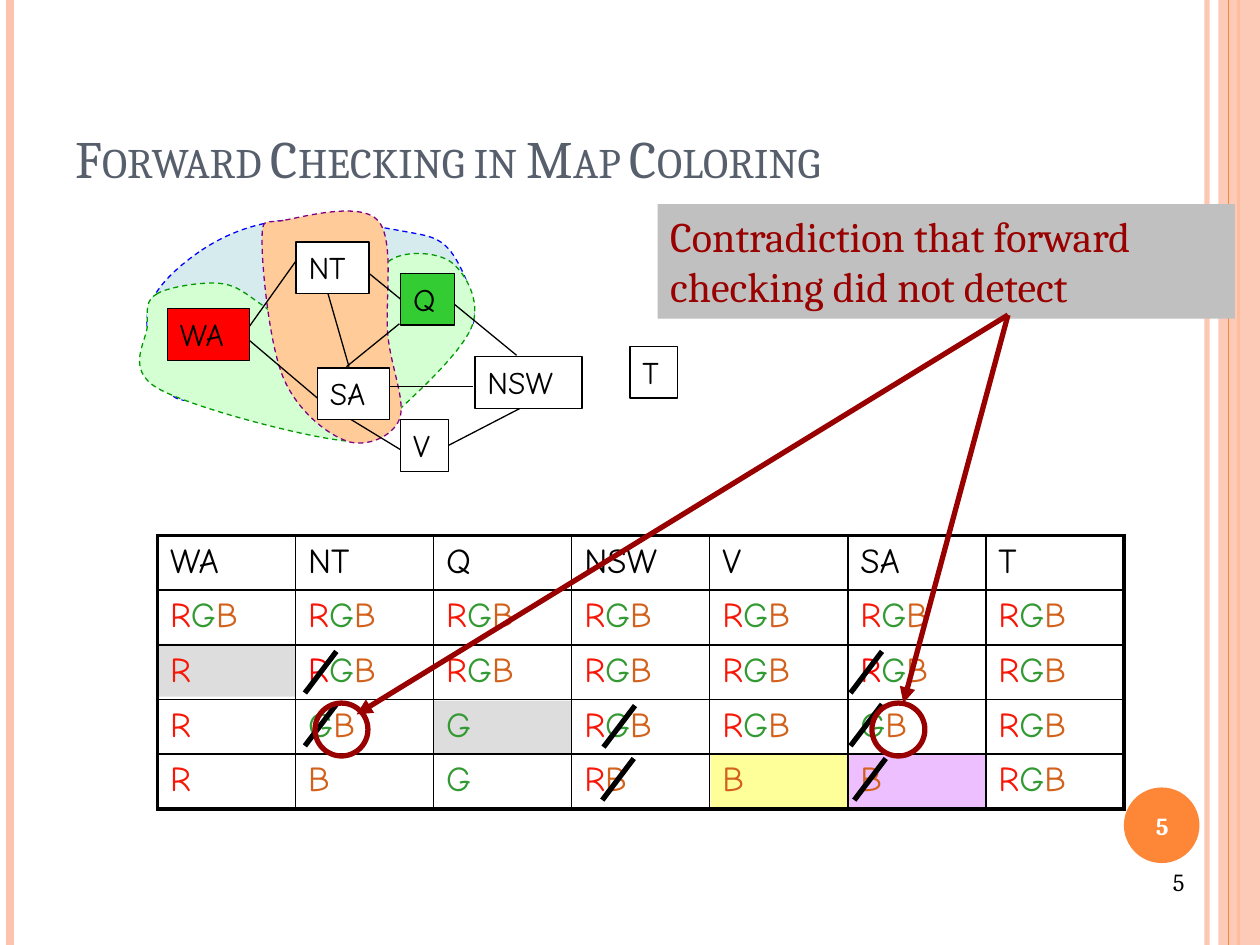
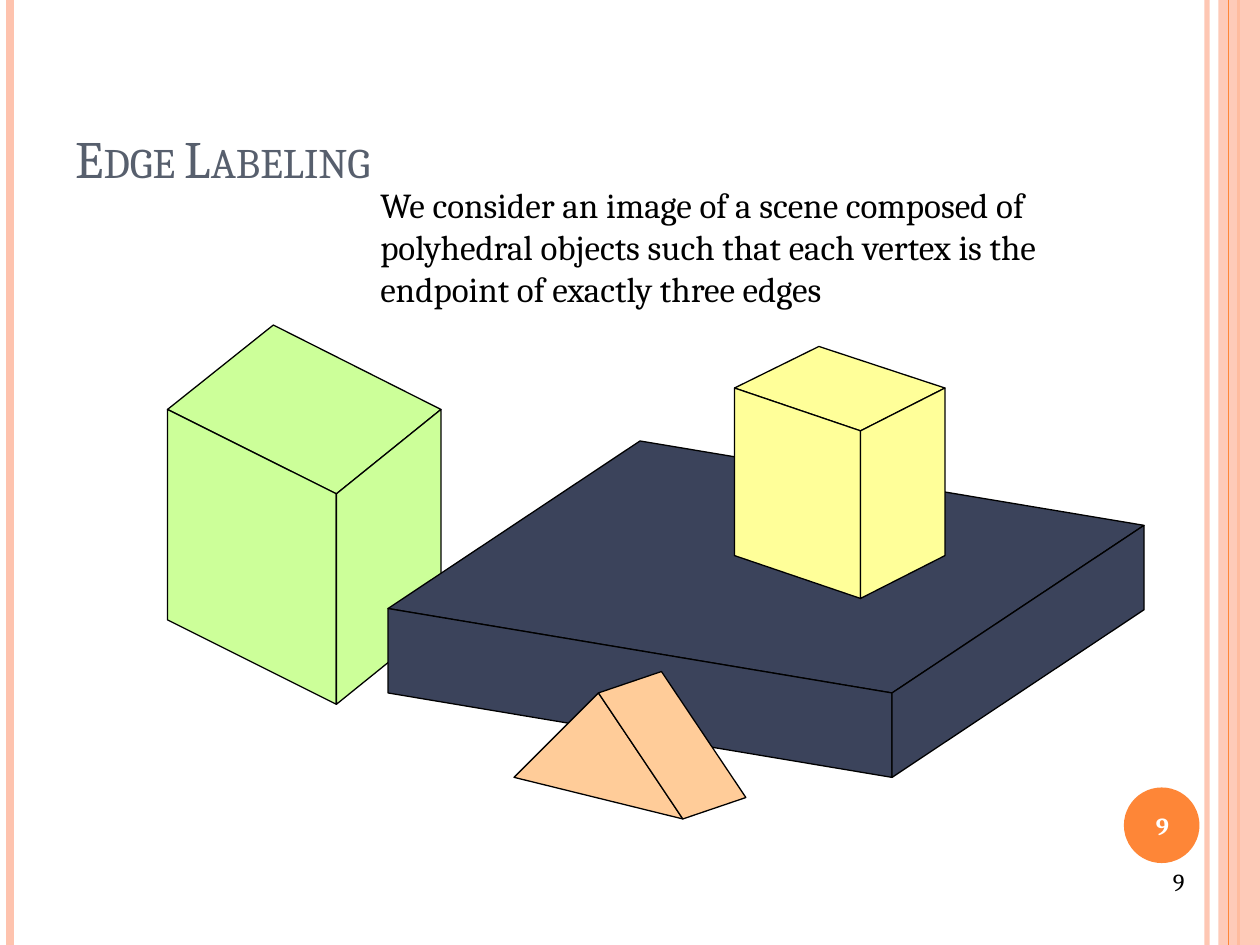
"""Build two slides on constraint satisfaction: map coloring and edge labeling."""
from lxml import etree
from pptx import Presentation
from pptx import util as u
from pptx.dml.color import RGBColor
from pptx.enum import dml, shapes, text
from pptx.oxml import ns

COLORS = {
    "band": "FEC3AE", "accent": "FE8637", "title": "575F6D", "black": "000000",
    "white": "FFFFFF", "alert": "990000", "callout": "C0C0C0", "assigned": "DDDDDD",
    "forced": "FFFF99", "empty": "EEBFFF", "red": "FF0000", "q": "33CC33",
    "water": "D5EBED", "blue": "0000FF", "land": "D3FFD3", "green": "009900",
    "peach": "FFCC99", "purple": "800080", "lime": "CCFF99", "navy": "3B435B",
    "R": "F81706", "G": "339933", "B": "D2611C",
}
SERIF, HAND = "Cambria", "Comic Neue"
RECT, OVAL = shapes.MSO_SHAPE.RECTANGLE, shapes.MSO_SHAPE.OVAL
LEFT, RIGHT = 1, 3

REGIONS = [
    ("water", "blue", [(1.58, 2), (1.17, 2.5), (1.42, 3.17), (2.17, 2.83), (2.25, 2.5),
                       (2.92, 2.42), (3.25, 2.83), (3.75, 2.58), (3.58, 2),
                       (3.17, 1.83), (2.25, 1.75)]),
    ("land", "green", [(1.25, 2.33), (1.17, 2.58), (1.25, 3.08), (2.75, 3.5),
                       (3.17, 3.25), (3.75, 2.58), (3.58, 2.08), (3.08, 2.08),
                       (2.92, 2.67), (2.5, 2.75), (2.08, 2.42), (1.75, 2.25)]),
    ("peach", "purple", [(2.25, 1.75), (2.08, 1.92), (2.25, 3), (2.75, 3.5),
                         (3.17, 3.33), (3.08, 2.67), (3, 1.75)]),
]
STATES = {
    "T": (5, 2.75, 0.38, "white"), "WA": (1.33, 2.45, 0.65, "red"),
    "NT": (2.35, 1.92, 0.58, "white"), "SA": (2.52, 2.92, 0.57, "white"),
    "Q": (3.18, 2.17, 0.43, "q"), "NSW": (3.77, 2.83, 0.85, "white"),
    "V": (3.18, 3.33, 0.38, "white"),
}
BORDERS = {
    "WA-NT": ((1.93, 2.66), (2.35, 2.07)), "WA-SA": ((1.93, 2.66), (2.52, 3.16)),
    "NT-SA": ((2.6, 2.32), (2.77, 2.91)), "SA-V": ((2.77, 3.32), (3.18, 3.57)),
    "Q-NSW": ((3.6, 2.41), (4.1, 2.82)), "NT-Q": ((2.88, 2.13), (3.2, 2.38)),
    "V-NSW": ((3.55, 3.55), (4.13, 3.24)), "Q-SA": ((3.17, 2.57), (2.75, 2.91)),
    "SA-NSW": ((3, 3.07), (3.75, 3.07)),
}
DOMAINS = [
    ["WA", "NT", "Q", "NSW", "V", "SA", "T"],
    ["RGB"] * 7,
    ["R"] + ["RGB"] * 6,
    ["R", "GB", "G", "RGB", "RGB", "GB", "RGB"],
    ["R", "B", "G", "RB", "B", "B", "RGB"],
]
MARKED_CELLS = [
    (6.72, 5.98, 1.11, 0.44, "empty", "black"), (1.24, 5.11, 1.1, 0.42, "assigned", None),
    (5.64, 5.99, 1.1, 0.42, "forced", None), (3.44, 5.56, 1.1, 0.42, "assigned", None),
]
REMOVED = [(4.78, 6.35), (2.42, 5.5), (4.79, 5.93), (6.78, 6.35), (6.75, 5.5),
           (6.75, 5.92), (2.42, 5.92)]


def rgb(name):
    """Return the named colour."""
    return RGBColor.from_string(COLORS[name])


def write(tf, content, size=18, color="black", font=SERIF, bold=False, small_caps=False,
          align=text.PP_ALIGN.LEFT, anchor=text.MSO_ANCHOR.TOP, by_letter=False):
    """Write lines into a text frame, optionally colouring each letter by its name."""
    tf.word_wrap = True
    tf.vertical_anchor = anchor
    for i, line in enumerate(content.split("\n")):
        p = tf.paragraphs[0] if i == 0 else tf.add_paragraph()
        p.alignment = align
        for part in (line if by_letter else [line]):
            r = p.add_run()
            r.text = part
            r.font.name, r.font.size, r.font.bold = font, u.Pt(size), bold
            r.font.color.rgb = rgb(part if by_letter else color)
            if small_caps:
                r.font._element.set("cap", "small")


def add_text(s, x, y, w, h, content, **style):
    """Add a text box."""
    box = s.shapes.add_textbox(u.Inches(x), u.Inches(y), u.Inches(w), u.Inches(h))
    write(box.text_frame, content, **style)


def paint(sp, fill=None, line=None, width=0.75, dash=False):
    """Set the fill and outline of a shape."""
    sp.shadow.inherit = False
    if fill:
        sp.fill.solid()
        sp.fill.fore_color.rgb = rgb(fill)
    else:
        sp.fill.background()
    if line:
        sp.line.color.rgb = rgb(line)
        sp.line.width = u.Pt(width)
        if dash:
            sp.line.dash_style = dml.MSO_LINE.DASH
    else:
        sp.line.fill.background()
    return sp


def add_shape(s, kind, x, y, w, h, **look):
    """Add a painted preset shape."""
    sp = s.shapes.add_shape(kind, u.Inches(x), u.Inches(y), u.Inches(w), u.Inches(h))
    return paint(sp, **look)


def add_polygon(s, points, **look):
    """Add a painted closed outline through the points."""
    pts = [(u.Inches(x), u.Inches(y)) for x, y in points]
    builder = s.shapes.build_freeform(*pts[0])
    builder.add_line_segments(pts[1:], close=True)
    return paint(builder.convert_to_shape(), **look)


def add_blob(s, anchors, **look):
    """Add a closed smooth outline whose tangents follow the neighbouring anchors."""
    n = len(anchors)
    points = [anchors[0]]
    for i in range(n):
        a, b, c, d = (anchors[(i + k) % n] for k in (-1, 0, 1, 2))
        points += [tuple(q + (r - p) / 6 for p, q, r in zip(a, b, c)),
                   tuple(r - (t - q) / 6 for q, r, t in zip(b, c, d)), c]
    sp = add_polygon(s, points, **look)
    segments = list(sp._element.spPr.iter(ns.qn("a:lnTo")))
    for i in range(0, 3 * n, 3):
        curve = etree.Element(ns.qn("a:cubicBezTo"))
        segments[i].addprevious(curve)
        for segment in segments[i:i + 3]:
            curve.append(segment[0])
            segment.getparent().remove(segment)


def add_line(s, start, end, color="black", width=0.75, arrow=False):
    """Add a straight connector."""
    ends = [u.Inches(v) for v in (*start, *end)]
    c = s.shapes.add_connector(shapes.MSO_CONNECTOR.STRAIGHT, *ends)
    c.line.color.rgb = rgb(color)
    c.line.width = u.Pt(width)
    if arrow:
        etree.SubElement(c.line._get_or_add_ln(), ns.qn("a:tailEnd"), type="triangle")
    etree.SubElement(c._element.spPr, ns.qn("a:effectLst"))
    return c


def set_alpha(obj, percent):
    """Make the solid colour of a shape's fill or a connector's line translucent."""
    clr = next(obj._element.spPr.iter(ns.qn("a:srgbClr")))
    etree.SubElement(clr, ns.qn("a:alpha"), val=str(percent * 1000))


def set_borders(cell, widths):
    """Set the left, right, top and bottom borders of a cell."""
    tc_pr = cell._tc.get_or_add_tcPr()
    for i, (side, width) in enumerate(zip("LRTB", widths)):
        ln = etree.Element(ns.qn(f"a:ln{side}"), w=str(u.Pt(width)))
        fill = etree.SubElement(ln, ns.qn("a:solidFill"))
        etree.SubElement(fill, ns.qn("a:srgbClr"), val=COLORS["black"])
        tc_pr.insert(i, ln)


def add_domain_table(s, x, y, w, h):
    """Add the table of remaining colours for each state."""
    rows, cols = len(DOMAINS), len(DOMAINS[0])
    table = s.shapes.add_table(rows, cols, u.Inches(x), u.Inches(y),
                               u.Inches(w), u.Inches(h)).table
    table.first_row = table.horz_banding = False
    for i, row in enumerate(DOMAINS):
        for j, value in enumerate(row):
            cell = table.cell(i, j)
            write(cell.text_frame, value, size=20, font=HAND, by_letter=i > 0)
            cell.fill.background()
            outer = (j == 0, j == cols - 1, i == 0, i == rows - 1)
            set_borders(cell, [2.25 if edge else 1 for edge in outer])
    for neighbour in ("NT", "SA"):
        cell = table.cell(2, DOMAINS[0].index(neighbour))
        cell.text_frame.paragraphs[0].runs[0].font.color.rgb = rgb("red")


def add_map(s):
    """Add the regions, the borders between states and the states."""
    for fill, line, anchors in REGIONS:
        add_blob(s, anchors, fill=fill, line=line, dash=True)
    lines = {name: add_line(s, *ends) for name, ends in BORDERS.items()}
    boxes = {}
    for name, (x, y, w, fill) in STATES.items():
        boxes[name] = add_shape(s, RECT, x, y, w, 0.41, fill=fill, line="black")
        write(boxes[name].text_frame, name, font=HAND)
    lines["NT-Q"].end_connect(boxes["Q"], LEFT)
    lines["V-NSW"].begin_connect(boxes["V"], RIGHT)


def add_block(s, left, front, right, back, depth, fill):
    """Add a block from the four corners of its top and its depth."""
    def lower(point):
        return point[0], point[1] + depth

    for face in ([left, front, right, back],
                 [left, front, lower(front), lower(left)],
                 [front, right, lower(right), lower(front)]):
        add_polygon(s, face, fill=fill, line="black")


def new_slide(prs, title, number):
    """Add a slide with side bands, title and page numbers."""
    s = prs.slides.add_slide(prs.slide_layouts[6])
    set_alpha(add_line(s, (9.58, 0), (9.58, 7.5), "band", 3), 93)
    add_line(s, (0.08, 0), (0.08, 7.5), "band", 4.5)
    add_line(s, (9.83, 0), (9.83, 7.5), "accent", 1.5)
    set_alpha(add_shape(s, RECT, 9.67, 0, 0.33, 7.5, fill="band"), 87)
    add_line(s, (9.75, 0), (9.75, 7.5), "accent")
    add_shape(s, OVAL, 8.92, 6.25, 0.6, 0.6, fill="accent")
    add_text(s, 0.5, 0.3, 8.17, 1.25, title, size=30, color="title", small_caps=True,
             anchor=text.MSO_ANCHOR.BOTTOM)
    add_text(s, 8.89, 6.27, 0.67, 0.57, number, size=14, color="white", bold=True,
             align=text.PP_ALIGN.CENTER, anchor=text.MSO_ANCHOR.MIDDLE)
    add_text(s, 7.17, 6.83, 2.33, 0.52, number, size=14, align=text.PP_ALIGN.RIGHT)
    return s


def forward_checking(prs):
    """Build the map coloring slide."""
    s = new_slide(prs, "Forward Checking in Map Coloring", "5")
    add_map(s)
    callout = add_shape(s, RECT, 5.22, 1.62, 4.58, 0.91, fill="callout")
    write(callout.text_frame, "Contradiction that forward\nchecking did not detect",
          size=24, color="alert")
    for x, y, w, h, fill, line in MARKED_CELLS:
        add_shape(s, RECT, x, y, w, h, fill=fill, line=line)
    add_domain_table(s, 1.25, 4.25, 7.67, 2.17)
    for x, y in REMOVED:
        add_line(s, (x, y), (x + 0.25, y - 0.33), width=3)
    for tip, ring_x in (((2.83, 5.67), 2.5), ((7.17, 5.58), 6.92)):
        add_line(s, (8, 2.5), tip, "alert", 3, arrow=True)
        add_shape(s, OVAL, ring_x, 5.58, 0.42, 0.42, line="alert", width=3)


def edge_labeling(prs):
    """Build the polyhedral scene slide."""
    s = new_slide(prs, "Edge Labeling", "9")
    add_block(s, (1.33, 3.25), (2.67, 3.92), (3.5, 3.25), (2.17, 2.58), 1.67, "lime")
    add_block(s, (3.08, 4.83), (7.08, 5.5), (9.08, 4.17), (5.08, 3.5), 0.67, "navy")
    for face in ([(4.08, 6.17), (5.42, 6.5), (4.75, 5.5)],
                 [(4.75, 5.5), (5.25, 5.33), (5.92, 6.33), (5.42, 6.5)]):
        add_polygon(s, face, fill="peach", line="black")
    add_block(s, (5.83, 3.08), (6.83, 3.42), (7.5, 3.08), (6.5, 2.75), 1.33, "forced")
    add_text(s, 2.92, 1.41, 6.33, 1.1,
             "We consider an image of a scene composed of polyhedral objects such that "
             "each vertex is the endpoint of exactly three edges", size=20)


def main():
    """Build and save the presentation."""
    prs = Presentation()
    prs.slide_width, prs.slide_height = u.Inches(10), u.Inches(7.5)
    forward_checking(prs)
    edge_labeling(prs)
    prs.save("out.pptx")


if __name__ == "__main__":
    main()
